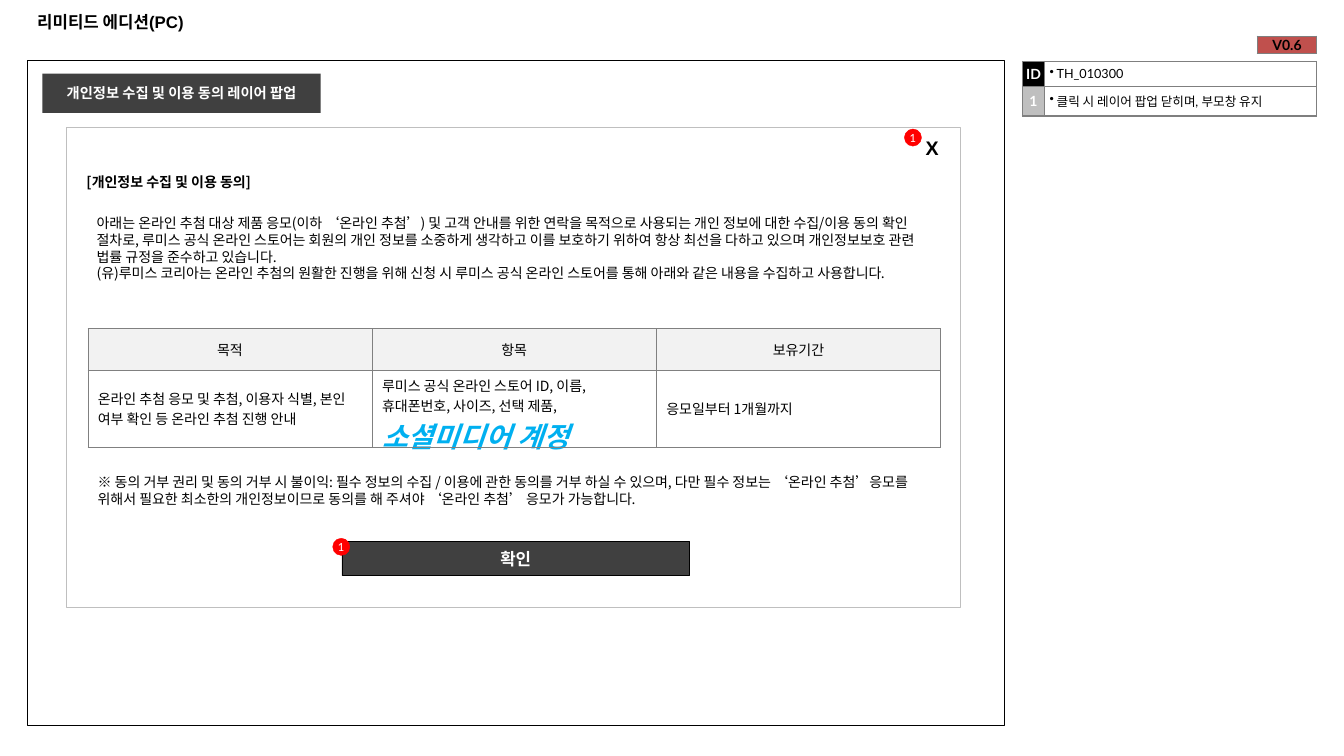
from pptx import Presentation
from pptx.dml.color import RGBColor
from pptx.enum.shapes import MSO_SHAPE
from pptx.enum.text import MSO_ANCHOR, PP_ALIGN
from pptx.oxml import parse_xml
from pptx.oxml.ns import nsdecls
from pptx.util import Inches, Pt

KOREAN = "Noto Sans CJK KR"
CENTER, LEFT = PP_ALIGN.CENTER, PP_ALIGN.LEFT


def color(code):
    return RGBColor.from_string(code)


def write(frame, texts, size, font=KOREAN, ink="000000", bold=False, align=LEFT,
          inset=(0.1, 0.05), anchor=MSO_ANCHOR.TOP, bullet=False, leading=None):
    """Fill a text frame or table cell; texts holds one list of runs per paragraph."""
    frame.margin_left = frame.margin_right = Inches(inset[0])
    frame.margin_top = frame.margin_bottom = Inches(inset[1])
    frame.vertical_anchor = anchor
    body = getattr(frame, "text_frame", frame)
    body.word_wrap = True
    for index, pieces in enumerate(texts):
        para = body.add_paragraph() if index else body.paragraphs[0]
        para.alignment = align
        if leading:
            para.line_spacing = Pt(leading)
        if bullet:
            properties = para._p.get_or_add_pPr()
            properties.set("marL", str(Inches(0.07)))
            properties.set("indent", str(-Inches(0.07)))
            properties.append(parse_xml(f'<a:buChar {nsdecls("a")} char="•"/>'))
        para.font.size, para.font.bold, para.font.name = Pt(size), bold, font
        para.font.color.rgb = color(ink)
        para.font._element.append(
            parse_xml(f'<a:ea {nsdecls("a")} typeface="{KOREAN}"/>'))
        for piece in pieces:
            para.add_run().text = piece


deck = Presentation()
deck.slide_width, deck.slide_height = Inches(13.33), Inches(7.5)
page = deck.slides.add_slide(deck.slide_layouts[6])

# Frames, header bar, button and numbered markers
RECT, OVAL, MIDDLE = MSO_SHAPE.RECTANGLE, MSO_SHAPE.OVAL, MSO_ANCHOR.MIDDLE
shapes = [
    (RECT, (0.27, 0.6, 9.69, 6.6), None, "000000", 0.75, None),
    (RECT, (0.42, 0.73, 2.76, 0.39), "404040", None, 0,
     ("개인정보 수집 및 이용 동의 레이어 팝업", 10.2, "Arial", True)),
    (RECT, (0.66, 1.26, 8.86, 4.76), "FFFFFF", "BFBFBF", 0.25, None),
    (RECT, (3.39, 5.37, 3.45, 0.34), "404040", "000000", 0.25, ("확인", 12, "Lato", True)),
    (OVAL, (8.97, 1.28, 0.17, 0.17), "FF0000", "FF0000", 0.25, ("1", 8, "Lato", False)),
    (OVAL, (3.3, 5.34, 0.17, 0.17), "FF0000", "FF0000", 0.25, ("1", 8, "Lato", False)),
]
for kind, place, fill, line, weight, label in shapes:
    shape = page.shapes.add_shape(kind, *map(Inches, place))
    shape.shadow.inherit = False
    if fill:
        shape.fill.solid()
        shape.fill.fore_color.rgb = color(fill)
    else:
        shape.fill.background()
    if line:
        shape.line.color.rgb = color(line)
        shape.line.width = Pt(weight)
    else:
        shape.line.fill.background()
    if label:
        text, size, font, bold = label
        write(shape.text_frame, [[text]], size, font, "FFFFFF", bold, CENTER, (0, 0), MIDDLE)

# Text boxes
INTRO = [
    ["아래는 온라인 추첨 대상 제품 응모(이하 ‘온라인 추첨’) 및 고객 안내를 위한 연락을 목적으로 "
     "사용되는 개인 정보에 대한 수집/이용 동의 확인 절차로, 루미스 공식 온라인 스토어는 회원의 개인 정보를 "
     "소중하게 생각하고 이를 보호하기 위하여 항상 최선을 다하고 있으며 개인정보보호 관련 법률 규정을 "
     "준수하고 있습니다."],
    ["(유)루미스 코리아는 온라인 추첨의 원활한 진행을 위해 신청 시 루미스 공식 온라인 스토어를 통해 "
     "아래와 같은 내용을 수집하고 사용합니다."],
]
NOTICE = [
    ["※ 동의 거부 권리 및 동의 거부 시 불이익: 필수 정보의 수집 / 이용에 관한 동의를 거부 하실 수 있으며, "
     "다만 필수 정보는 ‘온라인 추첨’응모를 위해서 필요한 최소한의 개인정보이므로 동의를 해 주셔야 "
     "‘온라인 추첨’ 응모가 가능합니다."],
]
boxes = [
    ((0.27, 0.07, 12.79, 0.39), [["리미티드 에디션(PC)"]], dict(size=12, font="Arial", bold=True)),
    ((8.98, 1.3, 0.53, 0.34), [["X"]], dict(size=14, font="Arial", bold=True, align=CENTER)),
    ((0.76, 1.67, 2.07, 0.27), [["[개인정보 수집 및 이용 동의]"]], dict(size=10, bold=True)),
    ((0.86, 2.08, 8.45, 0.94), INTRO, dict(size=10, leading=12)),
    ((0.87, 4.65, 8.45, 0.44), NOTICE, dict(size=10, leading=12)),
]
for place, texts, style in boxes:
    box = page.shapes.add_textbox(*map(Inches, place))
    write(box.text_frame, texts, **style)

# Tables: each cell is (runs, fill, style)
tag = dict(size=10, font="Lato", bold=True, align=CENTER, inset=(0, 0), anchor=MIDDLE)
white_tag = dict(tag, ink="FFFFFF")
remark = dict(size=9, font="Lato", inset=(0.05, 0.05), bullet=True)
entry = dict(size=10, anchor=MIDDLE)
heading = dict(entry, align=CENTER)
ACCOUNT = "소셜미디어 계정"
tables = [
    ((10.14, 0.61), (0.22, 2.7), (0.25, 0.29), "7F7F7F", 1, [
        [(["ID"], "000000", white_tag), (["TH_010300"], None, remark)],
        [(["1"], "BFBFBF", white_tag),
         (["클릭 시 레이어 팝업 닫히며, 부모창 유지"], None, remark)],
    ]),
    ((12.47, 0.36), (0.59,), (0.17,), "7F7F7F", 1, [[(["V0.6"], "C0504D", tag)]]),
    ((0.87, 3.26), (2.82,) * 3, (0.41, 0.77), "808080", 0.25, [
        [([name], "F2F2F2", heading) for name in ("목적", "항목", "보유기간")],
        [(["온라인 추첨 응모 및 추첨, 이용자 식별, 본인 여부 확인 등 온라인 추첨 진행 안내"],
          "FFFFFF", entry),
         (["루미스 공식 온라인 스토어 ID, 이름, 휴대폰번호, 사이즈, 선택 제품, ", ACCOUNT],
          "FFFFFF", entry),
         (["응모일부터 1개월까지"], "FFFFFF", entry)],
    ]),
]
for corner, widths, heights, border, weight, rows in tables:
    size = sum(widths), sum(heights)
    table = page.shapes.add_table(len(rows), len(widths), *map(Inches, corner + size)).table
    table.first_row = table.horz_banding = False
    for column, width in zip(table.columns, widths):
        column.width = Inches(width)
    for row, height, contents in zip(table.rows, heights, rows):
        row.height = Inches(height)
        for cell, (pieces, fill, style) in zip(row.cells, contents):
            write(cell, [pieces], **style)
            for side in ("lnL", "lnR", "lnT", "lnB"):
                cell._tc.get_or_add_tcPr().append(parse_xml(
                    f'<a:{side} {nsdecls("a")} w="{Pt(weight)}"><a:solidFill>'
                    f'<a:srgbClr val="{border}"/></a:solidFill></a:{side}>'))
            if fill:
                cell.fill.solid()
                cell.fill.fore_color.rgb = color(fill)
            else:
                cell.fill.background()
            for span in cell.text_frame.paragraphs[0].runs:
                if span.text == ACCOUNT:
                    span.font.size, span.font.bold, span.font.italic = Pt(20), True, True
                    span.font.color.rgb = color("00B0F0")

deck.save("out.pptx")
